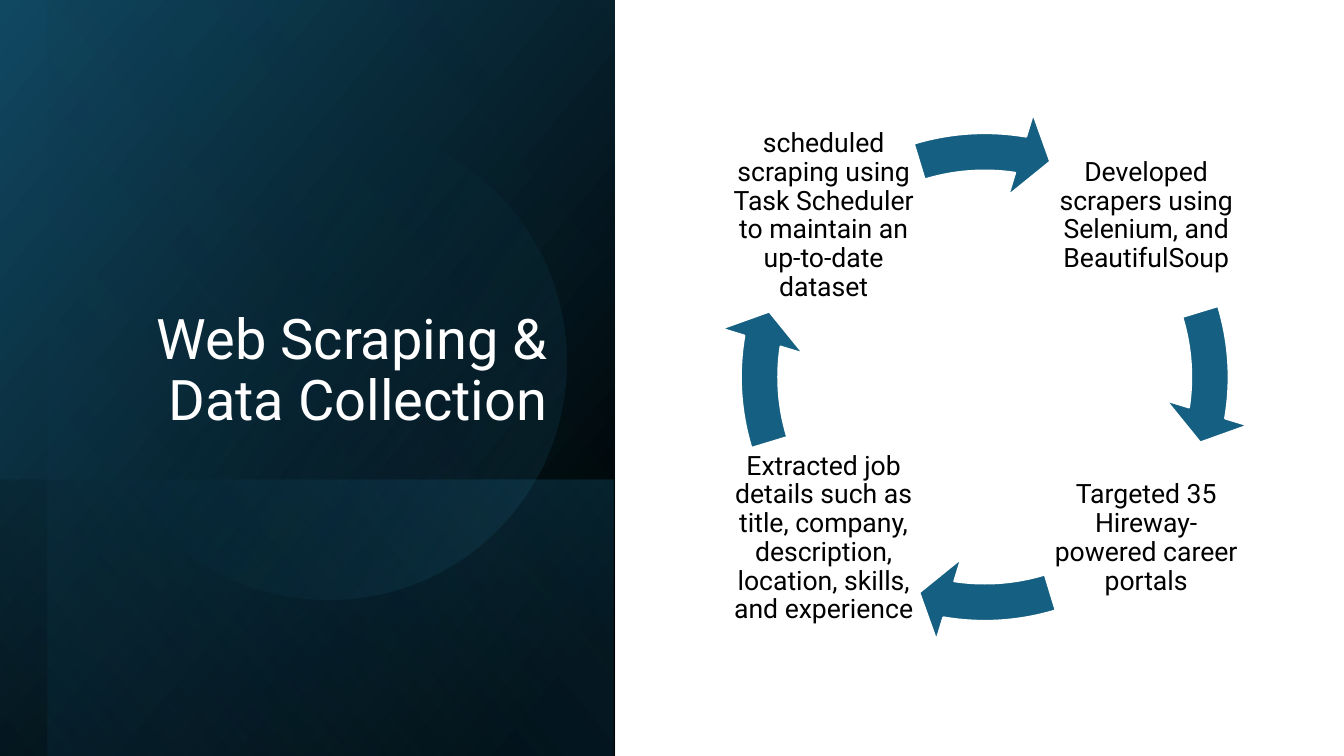
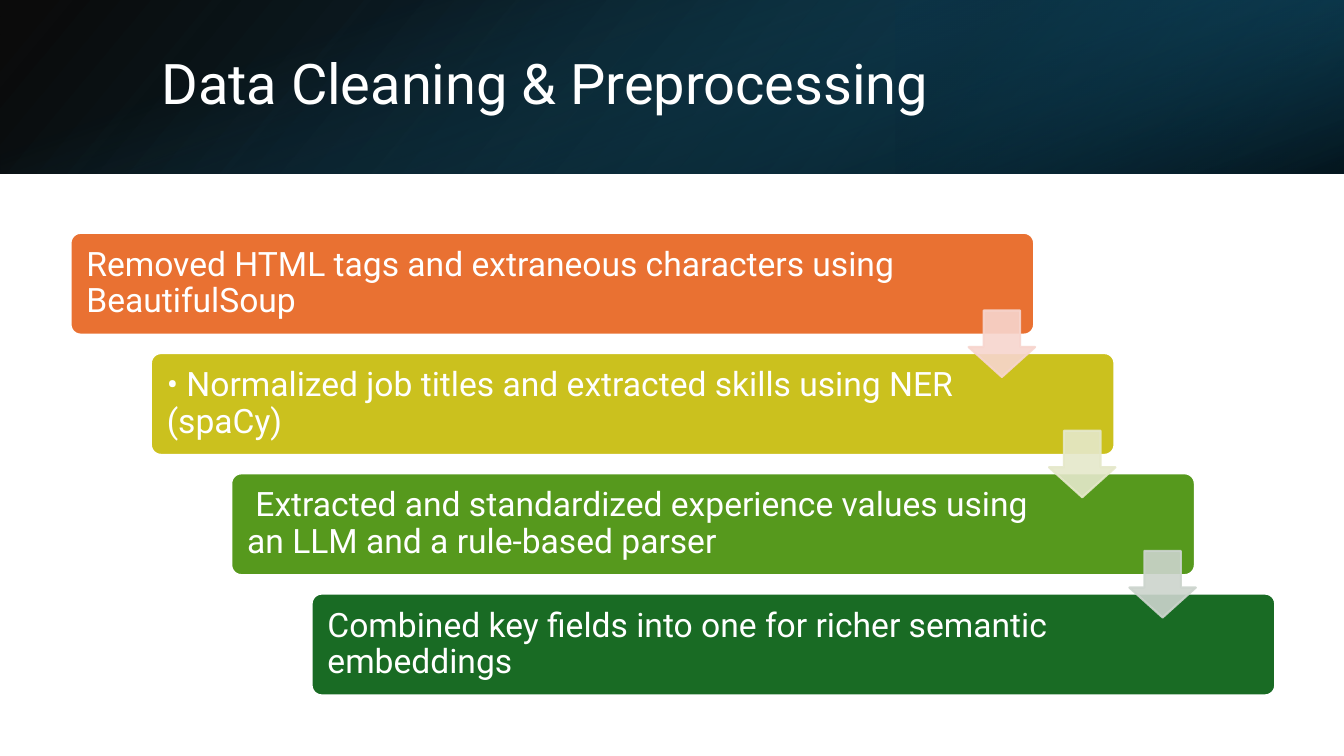
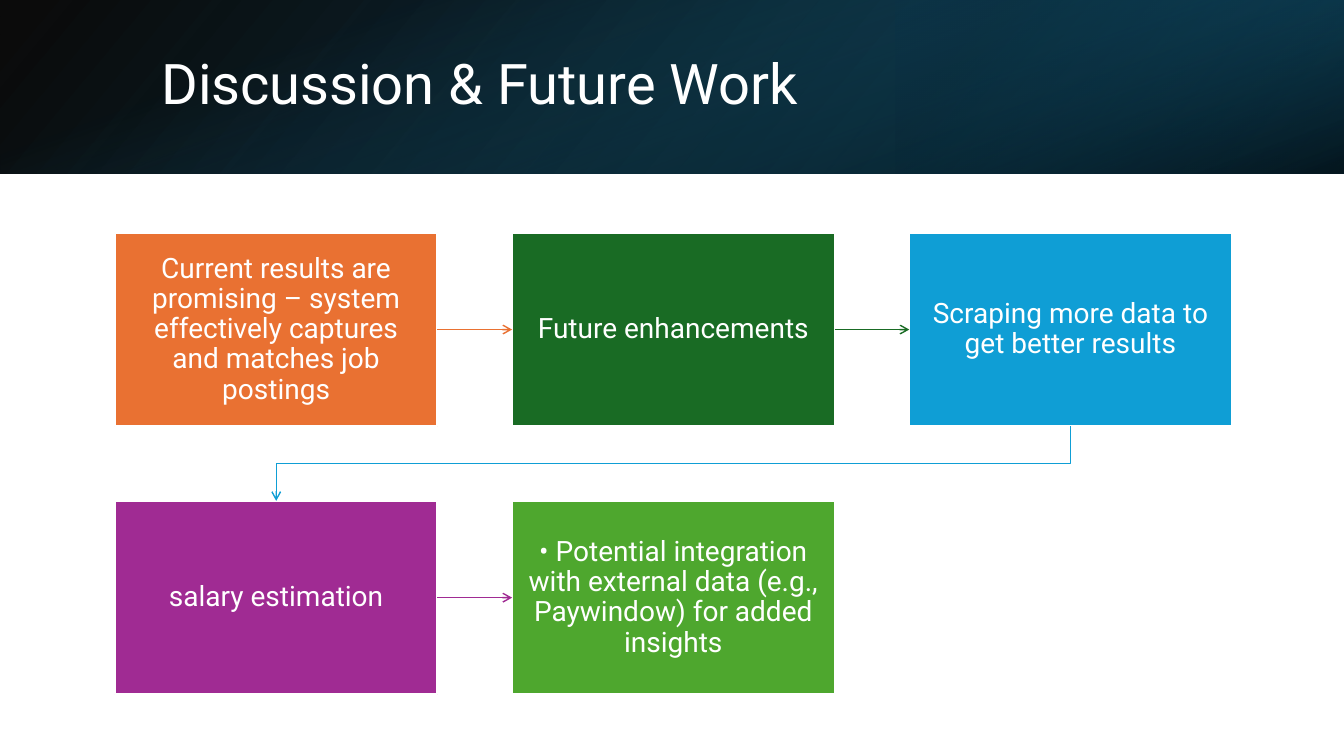
"""Build three slides on scraping, cleaning and future work for a job matching project."""
from lxml import etree
from pptx import Presentation
from pptx.dml.color import RGBColor
from pptx.enum.shapes import MSO_CONNECTOR, MSO_SHAPE
from pptx.enum.text import MSO_ANCHOR, MSO_AUTO_SIZE, PP_ALIGN
from pptx.oxml.ns import qn
from pptx.util import Pt

RECT, ROUND, OVAL = MSO_SHAPE.RECTANGLE, MSO_SHAPE.ROUNDED_RECTANGLE, MSO_SHAPE.OVAL
ARC, DOWN = MSO_SHAPE.CIRCULAR_ARROW, MSO_SHAPE.DOWN_ARROW
STRAIGHT, ELBOW = MSO_CONNECTOR.STRAIGHT, MSO_CONNECTOR.ELBOW
LEFT, MID, RIGHT = PP_ALIGN.LEFT, PP_ALIGN.CENTER, PP_ALIGN.RIGHT
CENTER, BOTTOM = MSO_ANCHOR.MIDDLE, MSO_ANCHOR.BOTTOM
NOFIT = MSO_AUTO_SIZE.NONE

FONT = "Roboto"
HUES = {
    "white": "FFFFFF", "black": "000000", "teal": "156082", "deep": "104862",
    "navy": "0B3041", "sky": "46B1E1", "orange": "E97132", "gold": "CBC11E",
    "lime": "56991D", "green": "196B24", "blue": "0F9ED5", "plum": "A02B93",
    "leaf": "4EA72E", "blush": "F7D5CE", "cream": "E5E8CA", "mist": "CCD4CD",
}
RGB = {name: RGBColor.from_string(code) for name, code in HUES.items()}

PANEL = [
    (RECT, (-50.4, 50.4, 540, 439.2), 90, True, 50,
     [(8, "black", 100), (100, "deep", 100)]),
    (RECT, (120.2, 221.8, 197.3, 439.2), 90, True, 130,
     [(2, "teal", 29), (100, "black", 30)]),
    (RECT, (-33.1, 67, 540, 405.4), 90, True, 130,
     [(0, "black", 0), (99, "teal", 11)]),
    (OVAL, (64.8, 88.6, 339.8, 339.8), 101.6, False, 290,
     [(39, "teal", 0), (100, "sky", 15)]),
]
BAND = [
    (RECT, (0, 0, 960, 124), 0, True, 140,
     [(0, "black", 96), (100, "deep", 100)]),
    (RECT, (640, 0, 320, 124), 180, True, 320,
     [(19, "navy", 68), (100, "teal", 79)]),
    (RECT, (418, -418, 124, 960), 90, False, 340,
     [(23, "teal", 0), (99, "black", 74)]),
]
SIDE = (64.8, 46.1, 333.4, 266.4)
HEAD = (108, 27.4, 790.6, 69.1)
DECK = [
    ("Web Scraping & Data Collection", PANEL, SIDE, RIGHT, BOTTOM),
    ("Data Cleaning & Preprocessing", BAND, HEAD, LEFT, CENTER),
    ("Discussion & Future Work", BAND, HEAD, LEFT, CENTER),
]


def add(slide, kind, box, hue, edge="white", alphas=()):
    """Add a solid shape with a thin outline and optional opacity."""
    shape = slide.shapes.add_shape(kind, *map(Pt, box))
    shape.shadow.inherit = False
    shape.fill.solid()
    shape.fill.fore_color.rgb = RGB[hue]
    shape.line.color.rgb = RGB[edge]
    shape.line.width = Pt(1.5)
    for node, alpha in zip(shape.element.spPr.iter(qn("a:srgbClr")), alphas):
        etree.SubElement(node, qn("a:alpha")).set("val", str(alpha * 1000))
    return shape


def write(shape, text, size, hue, align, anchor=CENTER, pads=(7.2, 3.6, 7.2, 3.6)):
    """Fill a shape with one paragraph of formatted text."""
    frame = shape.text_frame
    frame.text = text
    frame.word_wrap = True
    frame.auto_size = NOFIT
    frame.vertical_anchor = anchor
    (frame.margin_left, frame.margin_top,
     frame.margin_right, frame.margin_bottom) = map(Pt, pads)
    para = frame.paragraphs[0]
    para.alignment = align
    para.line_spacing = 0.9
    font = para.runs[0].font
    font.name, font.size, font.color.rgb = FONT, Pt(size), RGB[hue]


deck = Presentation()
deck.slide_width, deck.slide_height = Pt(960), Pt(540)

slides = []
for text, shades, box, align, anchor in DECK:
    slide = deck.slides.add_slide(deck.slide_layouts[5])
    for kind, area, turn, flip, angle, stops in shades:
        shade = add(slide, kind, area, "black")
        shade.line.fill.background()
        shade.rotation = turn
        if flip:
            shade.element.spPr.find(qn("a:xfrm")).set("flipH", "1")
        shade.fill.gradient()
        shade.fill.gradient_angle = 360 - angle
        for stop, (place, hue, alpha) in zip(shade.fill.gradient_stops, stops):
            stop.position = place / 100
            stop.color.rgb = RGB[hue]
        nodes = shade.element.spPr.iter(qn("a:srgbClr"))
        for node, (place, hue, alpha) in zip(nodes, stops):
            etree.SubElement(node, qn("a:alpha")).set("val", str(alpha * 1000))
    title = slide.shapes.title
    title.left, title.top, title.width, title.height = map(Pt, box)
    write(title, text, 40, "white", align, anchor)
    title.element.getparent().append(title.element)
    slides.append(slide)
cycle, steps, flow = slides

STAGES = [
    (1, 0, "Developed scrapers using Selenium, and BeautifulSoup"),
    (1, 1, "Targeted 35 Hireway-powered career portals"),
    (0, 1, "Extracted job details such as title, company, description, "
           "location, skills, and experience"),
    (0, 0, "scheduled scraping using Task Scheduler to maintain an up-to-date dataset"),
]
for i, (col, row, text) in enumerate(STAGES):
    area = (520.6 + 230.4 * col, 86.4 + 230.4 * row, 135.4, 135.4)
    label = cycle.shapes.add_textbox(*map(Pt, area))
    write(label, text, 19, "black", MID, pads=(2.2,) * 4)
    arc = add(cycle, ARC, (511.9, 77.8, 383, 383), "teal")
    bends = (0.07, 4.65, 5.5 + 54 * i, (205.85 + 54 * i) % 216, 0.08)
    for j, bend in enumerate(bends):
        arc.adjustments[j] = bend

TASKS = [
    ("orange", "Removed HTML tags and extraneous characters using BeautifulSoup"),
    ("gold", "• Normalized job titles and extracted skills using NER (spaCy)"),
    ("lime", " Extracted and standardized experience values using an LLM "
             "and a rule-based parser"),
    ("green", "Combined key fields into one for richer semantic embeddings"),
]
for i, (hue, text) in enumerate(TASKS):
    area = (50.4 + 57.4 * i, 166.3 + 85.9 * i, 688.3, 72.7)
    bar = add(steps, ROUND, area, hue)
    bar.adjustments[0] = 0.1
    write(bar, text, 24, "white", LEFT, pads=(9.2, 9.2, 97, 9.2))
for i, hue in enumerate(("blush", "cream", "mist")):
    area = (691.9 + 57.4 * i, 221.8 + 85.9 * i, 47.5, 47.5)
    arrow = add(steps, DOWN, area, hue, hue, (90, 90))
    arrow.adjustments[0], arrow.adjustments[1] = 0.55, 0.45

CARDS = [
    ("orange", "Current results are promising – system effectively captures "
               "and matches job postings"),
    ("green", "Future enhancements"),
    ("blue", "Scraping more data to get better results"),
    ("plum", "salary estimation"),
    ("leaf", "• Potential integration with external data (e.g., Paywindow) "
             "for added insights"),
]
cards = []
for i, (hue, text) in enumerate(CARDS):
    row, col = divmod(i, 3)
    area = (82.1 + 283.7 * col, 166.3 + 191.5 * row, 230.4, 138.2)
    card = add(flow, RECT, area, hue)
    write(card, text, 20, "white", MID, pads=(11.5,) * 4)
    cards.append(card)

for start, end, (hue, text) in zip(cards, cards[1:], CARDS):
    wraps = end.top > start.top
    link = flow.shapes.add_connector(ELBOW if wraps else STRAIGHT, 0, 0, 0, 0)
    link.begin_connect(start, 2 if wraps else 3)
    link.end_connect(end, 0 if wraps else 1)
    link.line.color.rgb = RGB[hue]
    link.line.width = Pt(1)
    props = link.element.spPr
    if wraps:
        wide, high = start.left - end.left, end.top - start.top - start.height
        link.left = end.left + (end.width + wide - high) // 2
        link.top = end.top - (high + wide) // 2
        link.width, link.height = high, wide
        frame = props.find(qn("a:xfrm"))
        frame.set("rot", "5400000")
        frame.set("flipH", "0")
        frame.set("flipV", "0")
    etree.SubElement(props.find(qn("a:ln")), qn("a:tailEnd")).set("type", "arrow")
    etree.SubElement(props, qn("a:effectLst"))

deck.save("out.pptx")
